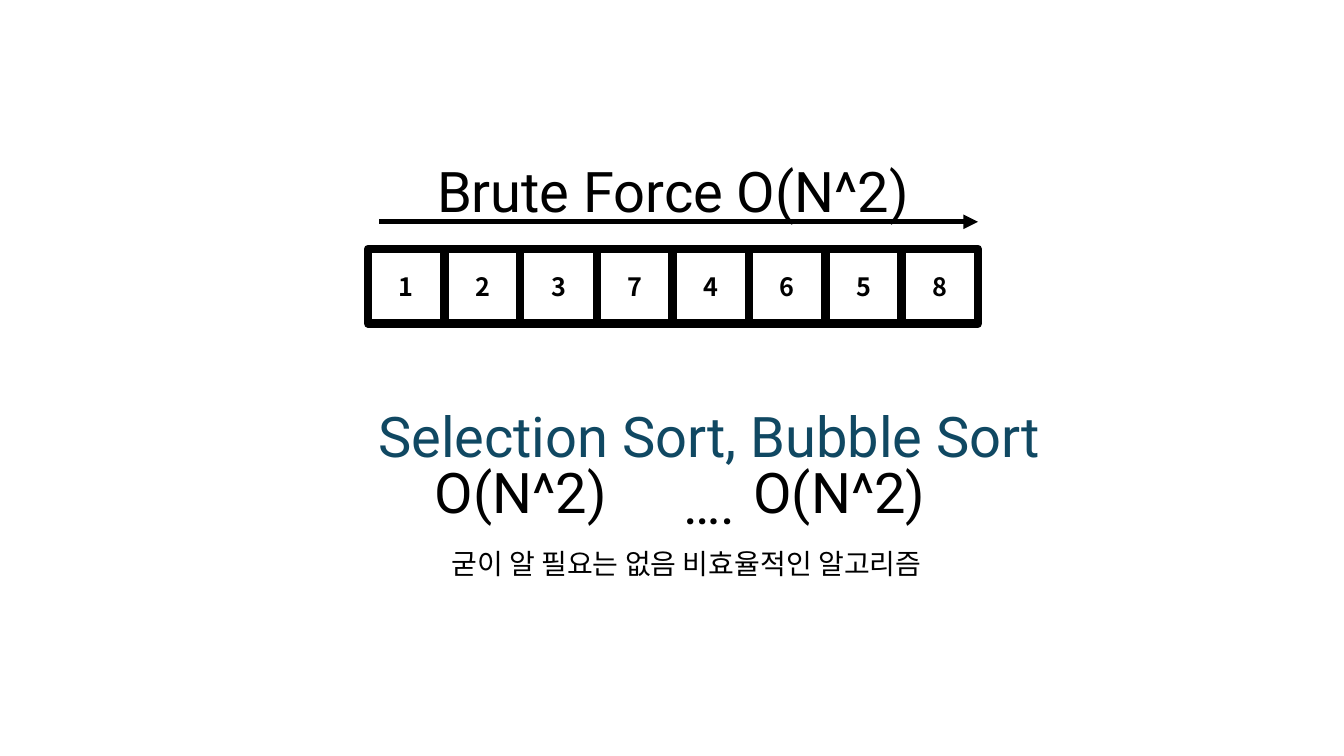
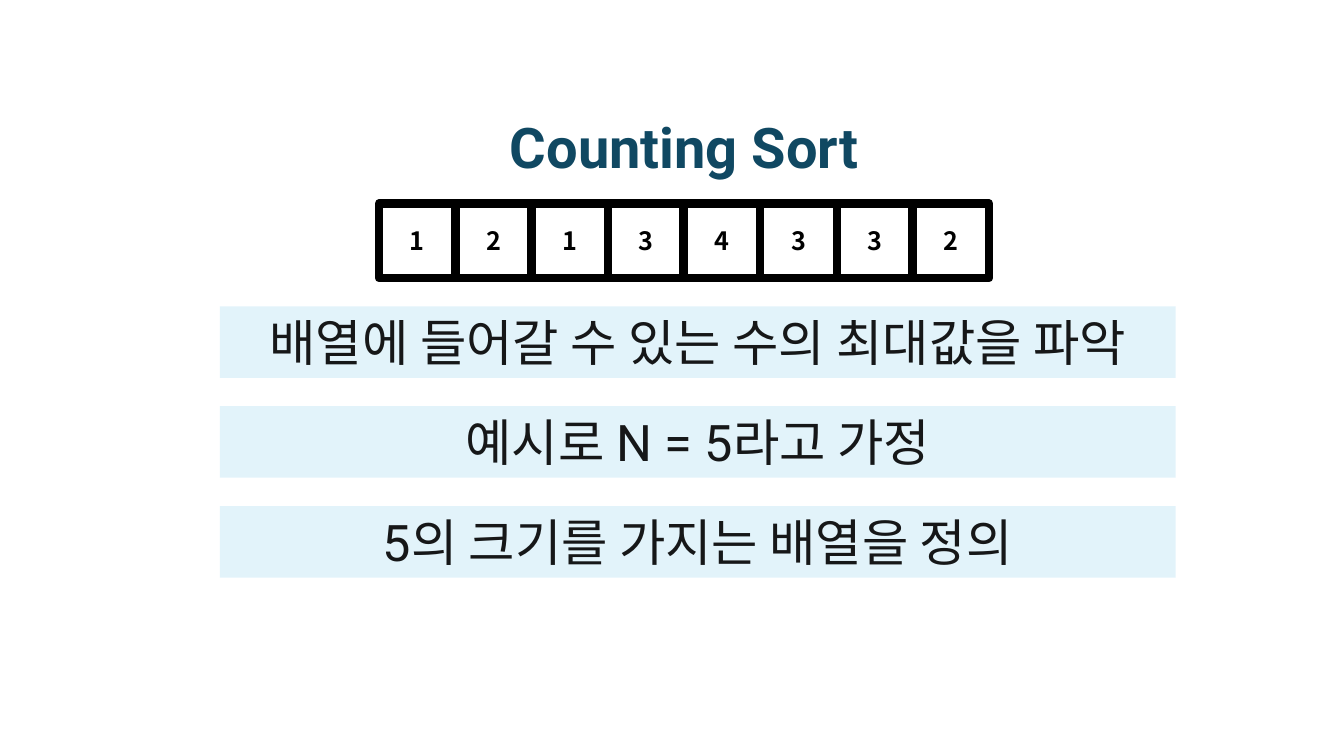
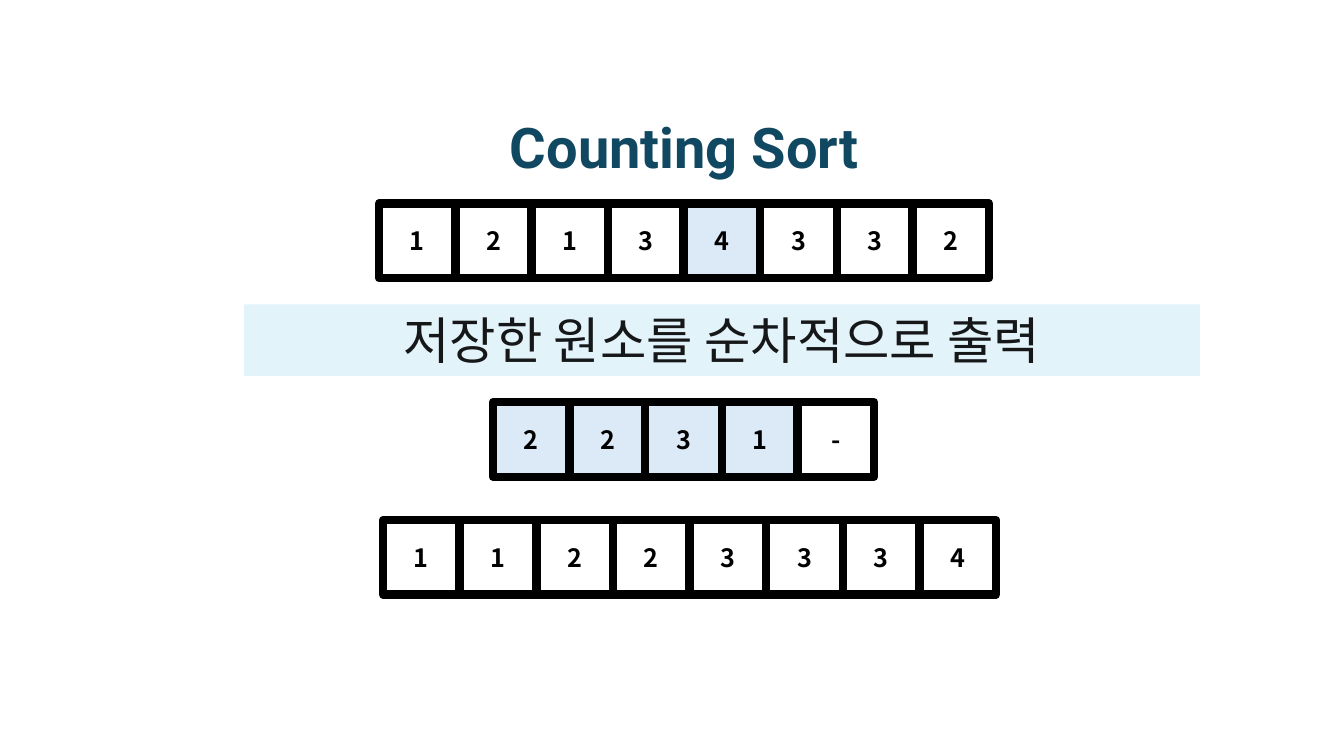
from lxml import etree
from pptx import Presentation
from pptx import util as u
from pptx.dml.color import RGBColor
from pptx.enum import shapes, text
from pptx.oxml.ns import qn

PX = 9144  # EMU in one px, 100 px to the inch
BLACK, WHITE, TEAL = "000000", "FFFFFF", "104862"
BAND, MARKED = "C1E5F5", "DCEAF7"
LATIN, KOREAN = "Roboto", "Noto Sans CJK KR"
CELL_WIDTH, CELL_HEIGHT, CELL_PITCH = 76, 74, 75.6


def paint(fill, color, opacity=100):
    """Make the fill solid, with the opacity in percent."""
    fill.solid()
    fill.fore_color.rgb = RGBColor.from_string(color)
    if opacity < 100:
        color_element = fill._xPr.find(".//" + qn("a:srgbClr"))
        etree.SubElement(color_element, qn("a:alpha"), val=str(opacity * 1000))


def add_box(slide, place, parts, size, font=LATIN, bold=False, opacity=100,
            fill=None, fill_opacity=100, outline=None):
    """Add centred text, given as (words, colour) parts, in a rectangle if a fill is given."""
    place = [round(length) * PX for length in place]
    if fill:
        shape = slide.shapes.add_shape(shapes.MSO_SHAPE.RECTANGLE, *place)
        shape.shadow.inherit = False
        paint(shape.fill, fill, fill_opacity)
    else:
        shape = slide.shapes.add_textbox(*place)
    frame = shape.text_frame
    frame.word_wrap = True
    if outline:
        paint(shape.line.fill, outline)
        shape.line.width = u.Pt(6)
        frame.vertical_anchor = text.MSO_ANCHOR.MIDDLE
    else:
        if fill:
            shape.line.fill.background()
        frame.vertical_anchor = text.MSO_ANCHOR.TOP
        frame.auto_size = text.MSO_AUTO_SIZE.SHAPE_TO_FIT_TEXT
    paragraph = frame.paragraphs[0]
    paragraph.alignment = text.PP_ALIGN.CENTER
    for words, color in parts:
        run = paragraph.add_run()
        run.text = words
        run.font.size = u.Pt(size)
        run.font.bold = bold
        run.font.name = font
        paint(run.font.fill, color, opacity)
        east_asian = etree.Element(qn("a:ea"), typeface=KOREAN)
        run.font._rPr.find(qn("a:latin")).addnext(east_asian)


presentation = Presentation()
presentation.slide_width = u.Inches(13.33)
presentation.slide_height = u.Inches(7.5)
blank = presentation.slide_layouts[6]
brute_force, counting, output = [presentation.slides.add_slide(blank) for _ in range(3)]

# Arrays: slide, left, top, pitch, values, indexes of the marked cells
arrays = [
    (brute_force, 365, 247, CELL_PITCH, "12374658", []),
    (counting, 376, 202, CELL_PITCH, "12134332", []),
    (output, 376, 202, CELL_PITCH, "12134332", [4]),
    (output, 489, 399, CELL_PITCH, "2231-", [0, 1, 2, 3]),
    (output, 380, 516, 76, "11223334", []),
]
for slide, left, top, pitch, values, marked in arrays:
    for index, value in enumerate(values):
        add_box(slide, (left + index * pitch, top, CELL_WIDTH, CELL_HEIGHT),
                [(value, BLACK)], 18, font=KOREAN, bold=True,
                fill=MARKED if index in marked else WHITE, outline=BLACK)

# Brute force: arrow over the array, then the texts
arrow = brute_force.shapes.add_connector(
    shapes.MSO_CONNECTOR.STRAIGHT, 376 * PX, 220 * PX, 970 * PX, 220 * PX)
paint(arrow.line.fill, BLACK)
arrow.line.width = u.Pt(3.5)
etree.SubElement(arrow.line._get_or_add_ln(), qn("a:tailEnd"), type="triangle")
etree.SubElement(arrow._element.spPr, qn("a:effectLst"))

captions = [
    ((354, 150, 627, 77), 40, [("Brute Force O(N^2)", BLACK)]),
    ((333, 393, 741, 77), 40, [("Selection Sort, Bubble Sort ", TEAL), ("….", BLACK)]),
    ((379, 449, 275, 77), 40, [("O(N^2)", BLACK)]),
    ((695, 449, 275, 77), 40, [("O(N^2)", BLACK)]),
    ((354, 537, 654, 44), 20, [("굳이 알 필요는 없음 비효율적인 알고리즘", BLACK)]),
]
for place, size, parts in captions:
    add_box(brute_force, place, parts, size)

# Counting sort: shared title and bands
for slide in (counting, output):
    add_box(slide, (299, 107, 759, 77), [("Counting Sort", TEAL)], 40, bold=True)

bands = [
    (counting, 218, 304, "배열에 들어갈 수 있는 수의 최대값을 파악"),
    (counting, 218, 403, "예시로 N = 5라고 가정"),
    (counting, 218, 502, "5의 크기를 가지는 배열을 정의"),
    (output, 242, 302, "저장한 원소를 순차적으로 출력"),
]
for slide, left, top, words in bands:
    add_box(slide, (left, top, 948, 71), [(words, BLACK)], 36, opacity=89,
            fill=BAND, fill_opacity=46)

presentation.save("out.pptx")
